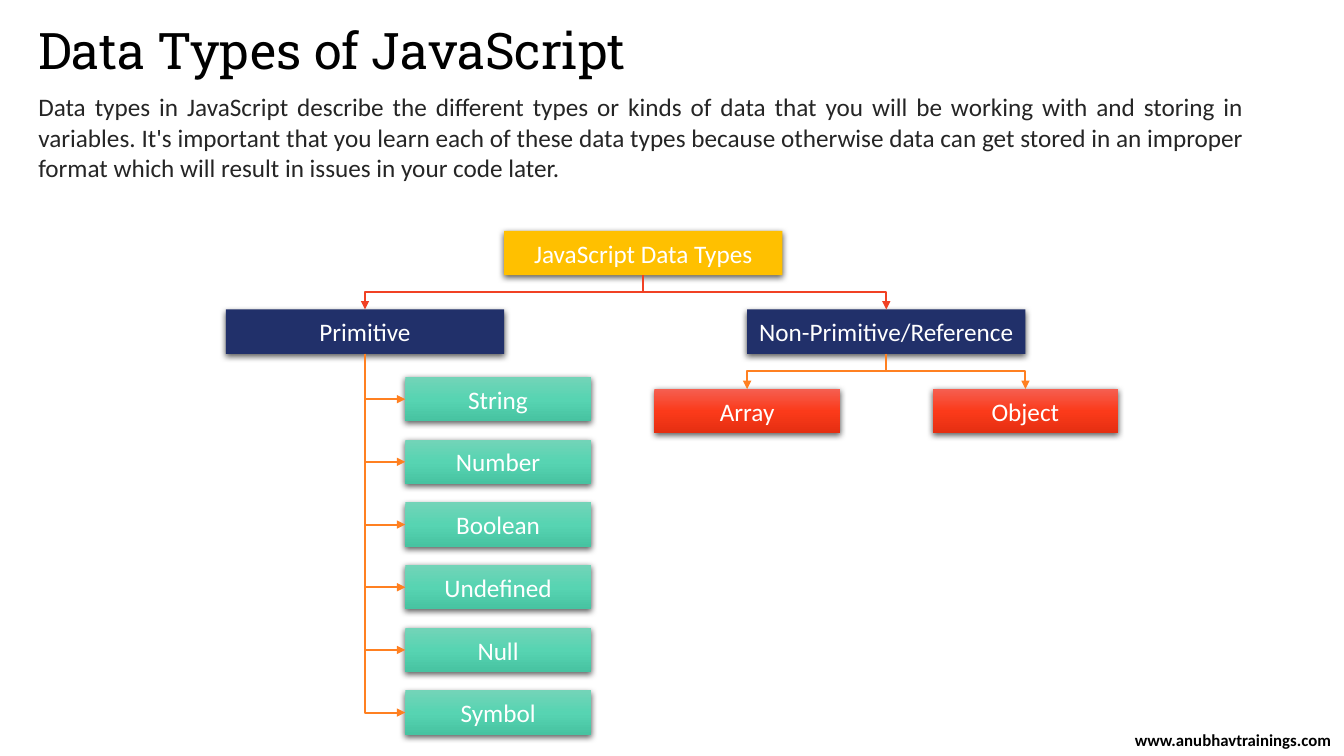
from dataclasses import dataclass

from lxml import etree
from pptx import Presentation
from pptx.dml.color import RGBColor
from pptx.enum.shapes import MSO_CONNECTOR, MSO_SHAPE
from pptx.enum.text import MSO_ANCHOR, MSO_AUTO_SIZE, PP_ALIGN
from pptx.oxml import parse_xml
from pptx.oxml.ns import nsdecls, qn
from pptx.util import Inches, Pt

ELBOW = MSO_CONNECTOR.ELBOW
RECT = MSO_SHAPE.RECTANGLE
TOP, MIDDLE = MSO_ANCHOR.TOP, MSO_ANCHOR.MIDDLE
FIXED = MSO_AUTO_SIZE.NONE
LEFT, CENTER, JUSTIFY = PP_ALIGN.LEFT, PP_ALIGN.CENTER, PP_ALIGN.JUSTIFY


@dataclass(frozen=True)
class Theme:
    head: str = "Roboto Slab"
    text: str = "Calibri"
    big: int = 36
    mid: int = 18
    small: int = 12
    black: str = "000000"
    ink: str = "252525"
    white: str = "FFFFFF"
    gold: str = "FFC000"
    navy: str = "21306A"
    green: tuple = ("73D4B8", "57D4B2", "47C3A1")
    red: tuple = ("F55F51", "FB3A1A", "E52F11")
    trunk: str = "F14124"
    branch: str = "FF8021"


THEME = Theme()
WIDE, SLIM, HIGH = 2.76, 1.84, 0.44

SHADOW = (
    f'<a:effectLst {nsdecls("a")}><a:outerShdw blurRad="57150" dist="19050" '
    'dir="5400000" algn="ctr" rotWithShape="0"><a:srgbClr val="000000">'
    '<a:alpha val="63000"/></a:srgbClr></a:outerShdw></a:effectLst>'
)


def place(shape, box):
    shape.left, shape.top, shape.width, shape.height = map(Inches, box)


def clear_bullet(line):
    props = line._p.get_or_add_pPr()
    props.set("marL", "0")
    props.set("indent", "0")
    etree.SubElement(props, qn("a:buNone"))


def write(shape, text, size, color, align, face=THEME.text, anchor=MIDDLE,
          bold=False, plain=False):
    frame = shape.text_frame
    frame.auto_size = FIXED
    frame.vertical_anchor = anchor
    frame.text = text
    line = frame.paragraphs[0]
    if plain:
        clear_bullet(line)
    line.alignment = align
    line.space_before = Pt(0)
    font = line.font
    font.name, font.size, font.bold = face, Pt(size), bold
    font.color.rgb = RGBColor.from_string(color)
    return line


def paint(shape, fill):
    if isinstance(fill, str):
        shape.fill.solid()
        shape.fill.fore_color.rgb = RGBColor.from_string(fill)
        return
    shape.fill.gradient()
    shape.fill.gradient_angle = 270
    stops = next(shape._element.spPr.iter(qn("a:gsLst")))
    for stop in list(stops):
        stops.remove(stop)
    for i, color in enumerate(fill):
        stop = etree.SubElement(stops, qn("a:gs"), pos=str(i * 50000))
        etree.SubElement(stop, qn("a:srgbClr"), val=color)


def add_node(slide, x, y, width, text, fill):
    node = slide.shapes.add_shape(RECT, *map(Inches, (x, y, width, HIGH)))
    paint(node, fill)
    node.line.fill.background()
    node._element.spPr.append(parse_xml(SHADOW))
    frame = node.text_frame
    frame.margin_left = frame.margin_right = Inches(0.05)
    frame.word_wrap = True
    write(node, text, THEME.mid, THEME.white, CENTER)


def add_elbow(slide, start, end, color, preset="bentConnector3"):
    (x1, y1), (x2, y2) = start, end
    width, height = y2 - y1, abs(x2 - x1)
    left, top = (x1 + x2 - width) / 2, (y1 + y2 - height) / 2
    link = slide.shapes.add_connector(
        ELBOW, *map(Inches, (left, top, left + width, top + height)))
    link.line.color.rgb = RGBColor.from_string(color)
    link.line.width = Pt(1.5)
    props = link._element.spPr
    frame = props.find(qn("a:xfrm"))
    if x2 < x1:
        frame.set("rot", "5400000")
    else:
        frame.set("rot", "16200000")
        frame.set("flipH", "1")
    props.find(qn("a:prstGeom")).set("prst", preset)
    etree.SubElement(props.find(qn("a:ln")), qn("a:tailEnd"), type="triangle")
    etree.SubElement(props, qn("a:effectLst"))


def add_intro(slide, left, top):
    title, body = slide.placeholders
    place(title, (left, top, 8.5, 0.65))
    line = write(title, "Data Types of JavaScript", THEME.big, THEME.black,
                 LEFT, THEME.head, TOP)
    line.line_spacing = 0.9

    place(body, (left, top + 0.65, 12.16, 1.01))
    write(
        body,
        "Data types in JavaScript describe the different types or kinds of data "
        "that you will be working with and storing in variables. It's important "
        "that you learn each of these data types because otherwise data can get "
        "stored in an improper format which will result in issues in your code later.",
        THEME.mid, THEME.ink, JUSTIFY, anchor=TOP, plain=True)


def add_list(slide, left, top, names):
    stem = left + WIDE / 2
    pitch = 3.11 / (len(names) - 1)
    for i, name in enumerate(names):
        y = top + 0.67 + i * pitch
        add_node(slide, stem + 0.4, y, SLIM, name, THEME.green)
        add_elbow(slide, (stem, top + HIGH), (stem + 0.4, y + HIGH / 2),
                  THEME.branch, "bentConnector2")


def add_fork(slide, left, top, names):
    stem = left + WIDE / 2
    for x, name in zip((left, left + WIDE), names):
        add_node(slide, x - SLIM / 2, top + 0.79, SLIM, name, THEME.red)
        add_elbow(slide, (stem, top + HIGH), (x, top + 0.79), THEME.branch)


def add_tree(slide, left, top):
    root, row = left + WIDE, top + 0.78
    add_node(slide, root, top, WIDE, "JavaScript Data Types", THEME.gold)
    kinds = (
        (left, "Primitive", add_list,
         ("String", "Number", "Boolean", "Undefined", "Null", "Symbol")),
        (left + 5.17, "Non-Primitive/Reference", add_fork, ("Array", "Object")),
    )
    for x, name, grow, leaves in kinds:
        add_node(slide, x, row, WIDE, name, THEME.navy)
        add_elbow(slide, (root + WIDE / 2, top + HIGH), (x + WIDE / 2, row),
                  THEME.trunk)
        grow(slide, x, row, leaves)


def add_foot(slide, left, top):
    foot = slide.shapes.add_textbox(*map(Inches, (left, top, 2.2, 0.16)))
    foot.text_frame.word_wrap = False
    write(foot, "www.anubhavtrainings.com", THEME.small, THEME.black, CENTER,
          bold=True)


def main():
    deck = Presentation()
    deck.slide_width, deck.slide_height = Inches(13.33), Inches(7.5)
    slide = deck.slides.add_slide(deck.slide_layouts[1])
    add_intro(slide, 0.28, 0.21)
    add_tree(slide, 2.24, 2.29)
    add_foot(slide, 11.13, 7.26)
    deck.save("out.pptx")


if __name__ == "__main__":
    main()
